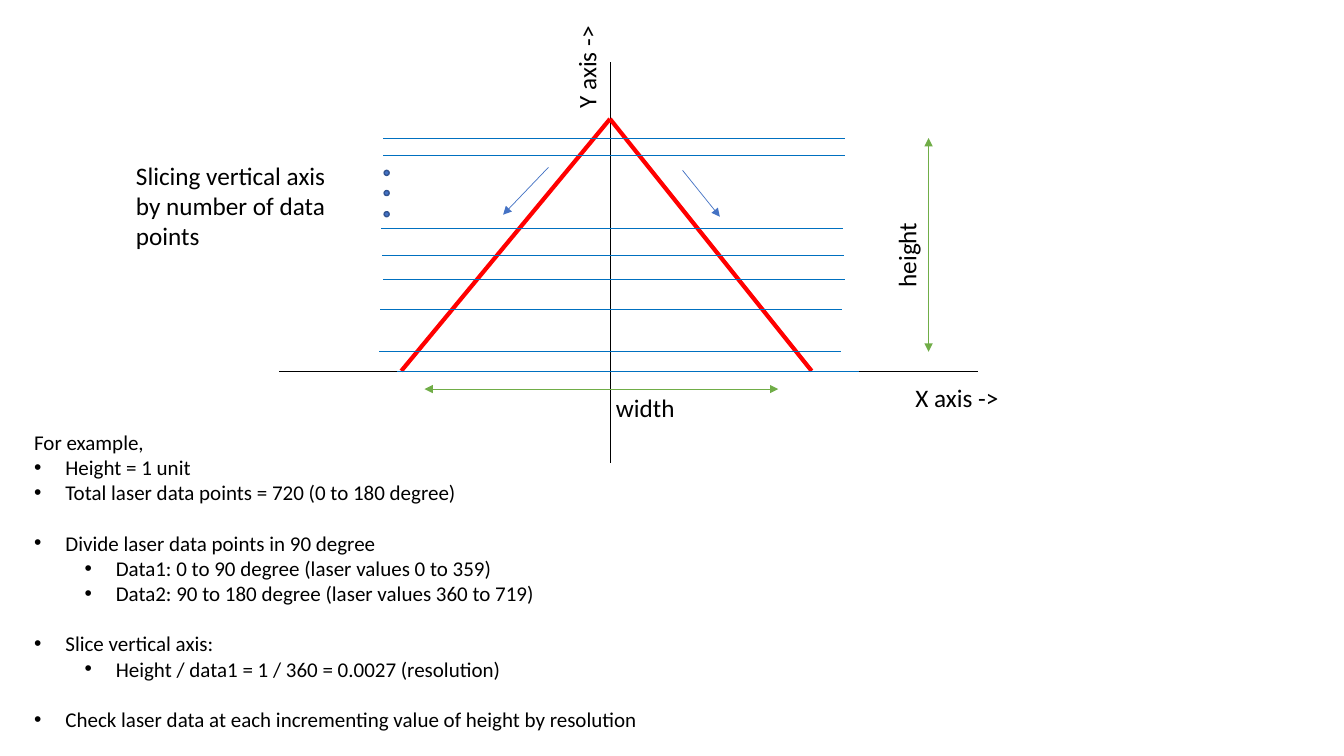
from lxml import etree
from pptx import Presentation
from pptx.dml.color import RGBColor
from pptx.enum.shapes import MSO_CONNECTOR, MSO_SHAPE
from pptx.oxml.ns import qn
from pptx.util import Inches, Pt

BLACK, RED, BLUE, SLICE_BLUE, GREEN = "000000", "FF0000", "4472C4", "0070C0", "70AD47"

prs = Presentation()
prs.slide_width, prs.slide_height = Inches(13.33), Inches(7.5)
slide = prs.slides.add_slide(prs.slide_layouts[6])
shapes = slide.shapes

# Grid of 75 rows; columns are as wide as rows are high
CELL = prs.slide_height / 75


def add_line(x1, y1, x2, y2, color, width=0.5, arrows=()):
    """Draw a line between two grid points, with triangles at the named ends."""
    line = shapes.add_connector(MSO_CONNECTOR.STRAIGHT,
                                *(round(v * CELL) for v in (x1, y1, x2, y2)))
    line.line.color.rgb = RGBColor.from_string(color)
    line.line.width = Pt(width)
    for end in arrows:
        etree.SubElement(line.line._ln, qn(f"a:{end}"), type="triangle")
    etree.SubElement(line._element.spPr, qn("a:effectLst"))


def add_text(left, top, width, height, paragraphs, size=18, rotation=0):
    """Add a text box on the grid; paragraphs are (text, bullet level, gap before)."""
    box = shapes.add_textbox(*(round(v * CELL) for v in (left, top, width, height)))
    box.rotation = rotation
    frame = box.text_frame
    frame.word_wrap = True
    for i, (text, level, gap) in enumerate(paragraphs):
        p = frame.paragraphs[0] if i == 0 else frame.add_paragraph()
        p.space_before = Pt(gap)
        run = p.add_run()
        run.text = text
        run.font.name, run.font.size = "Calibri", Pt(size)
        run.font.color.rgb = RGBColor.from_string(BLACK)
        if level is not None:
            p.level = level
            props = p._p.get_or_add_pPr()
            props.set("marL", str(round((3.1 + 5 * level) * CELL)))
            props.set("indent", str(round(-3.1 * CELL)))
            etree.SubElement(props, qn("a:buFont"), typeface="Arial")
            etree.SubElement(props, qn("a:buChar"), char="•")


# Axes
center_x, base_y, apex_y = 60.5, 36.8, 11.8
add_line(27.7, base_y, 97, base_y, BLACK)
add_line(center_x, 6.2, center_x, 45.9, BLACK)

# Triangle sides and the direction of travel along each
for foot_x in (39.8, 80.5):
    add_line(foot_x, base_y, center_x, apex_y, RED, 3)
add_line(54.4, 16.6, 49.9, 21.3, BLUE, arrows=["tailEnd"])
add_line(67.7, 16.9, 71.4, 21.5, BLUE, arrows=["tailEnd"])

# Horizontal slices: left end and row
slice_width = 45.8
top_slice, bottom_slice = 13.7, 34.9
slices = [(37.6, bottom_slice), (39.4, base_y), (37.7, 30.7), (38, 27.7),
          (37.9, 25.3), (37.8, 22.7), (38, top_slice), (38, 15.4)]
for left, row in slices:
    add_line(left, row, left + slice_width, row, SLICE_BLUE)

# Dots standing for the slices not drawn
dot_size = round(0.5 * CELL)
for row in (16.9, 18.9, 21):
    dot = shapes.add_shape(MSO_SHAPE.OVAL, round(38.1 * CELL), round(row * CELL),
                           dot_size, dot_size)
    dot.shadow.inherit = False
    dot.fill.solid()
    dot.fill.fore_color.rgb = RGBColor.from_string(BLUE)
    dot.line.color.rgb = RGBColor.from_string("325491")
    dot.line.width = Pt(1)

# Dimension arrows
both_ends = ["headEnd", "tailEnd"]
add_line(42.1, 38.6, 77.2, 38.6, GREEN, arrows=both_ends)
add_line(92.1, top_slice, 92.1, bottom_slice, GREEN, arrows=both_ends)

# Labels: left, top, width, height, text, rotation
labels = [
    (12.5, 15.4, 22.5, 10.1, "Slicing vertical axis by number of data points", 0),
    (89.8, 37.4, 13.5, 4, "X axis ->", 0),
    (51.4, 3, 13.5, 4, "Y axis ->", 270),
    (60.1, 38.4, 11.8, 4, "width", 0),
    (84, 21.6, 11.8, 4, "height", 270),
]
for left, top, width, height, text, rotation in labels:
    add_text(left, top, width, height, [(text, None, 0)], rotation=rotation)

# Worked example; groups are set apart by one line of space
GAP = 18
example = [
    ("For example,", None, 0),
    ("Height = 1 unit", 0, 0),
    ("Total laser data points = 720 (0 to 180 degree)", 0, 0),
    ("Divide laser data points in 90 degree", 0, GAP),
    ("Data1: 0 to 90 degree (laser values 0 to 359)", 1, 0),
    ("Data2: 90 to 180 degree (laser values 360 to 719)", 1, 0),
    ("Slice vertical axis:", 0, GAP),
    ("Height / data1 = 1 / 360 = 0.0027 (resolution)", 1, 0),
    ("Check laser data at each incrementing value of height by resolution", 0, GAP),
]
add_text(2.4, 42.1, 65.1, 33.8, example, size=15)

prs.save("out.pptx")
